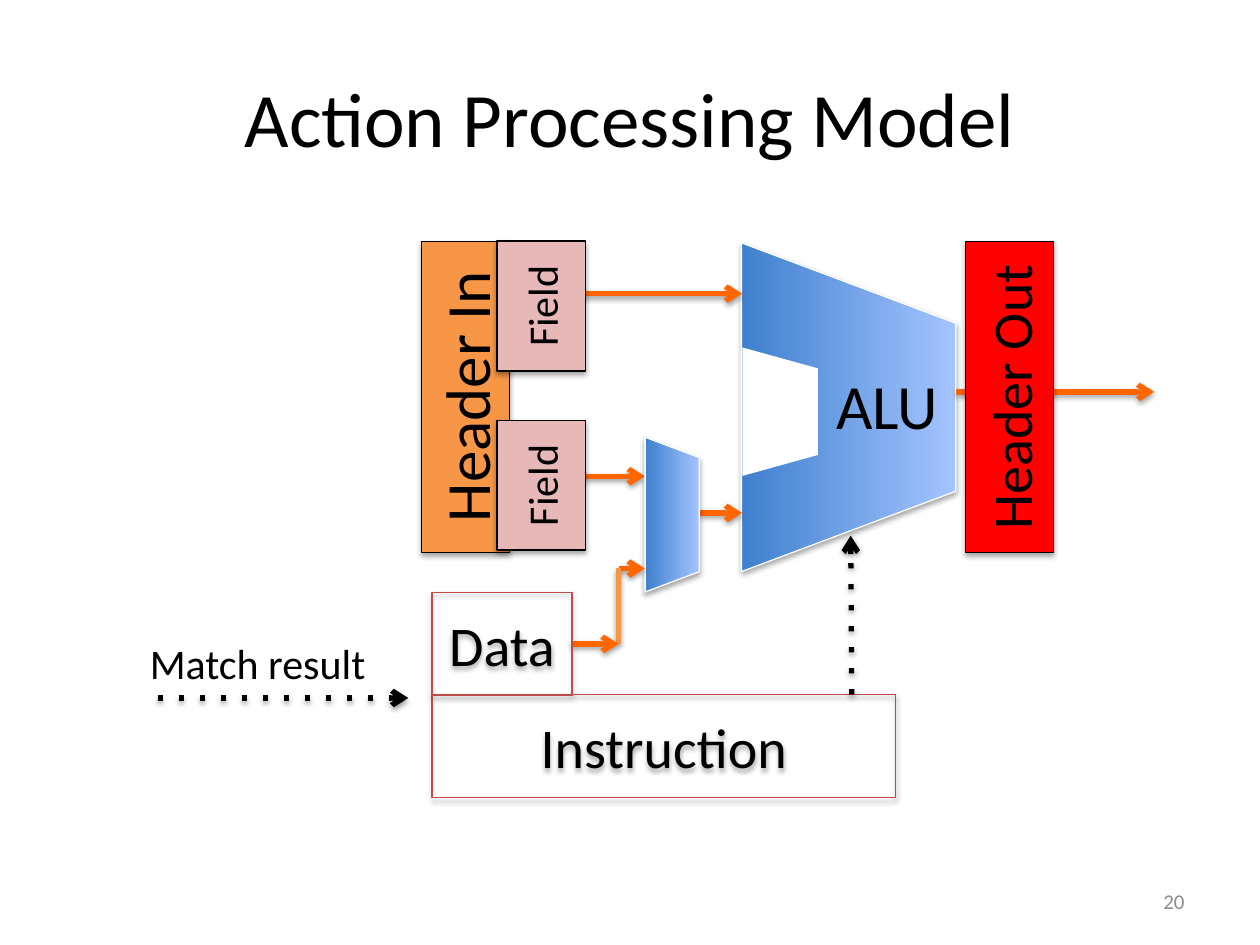
"""Build the Action Processing Model slide."""
from lxml import etree
from pptx import Presentation
from pptx.dml.color import RGBColor
from pptx.enum.shapes import MSO_CONNECTOR, MSO_SHAPE
from pptx.enum.text import MSO_ANCHOR, PP_ALIGN
from pptx.oxml.ns import qn
from pptx.util import Cm, Pt

STRAIGHT = MSO_CONNECTOR.STRAIGHT
RECTANGLE, TRAPEZOID = MSO_SHAPE.RECTANGLE, MSO_SHAPE.TRAPEZOID
MIDDLE, TOP = MSO_ANCHOR.MIDDLE, MSO_ANCHOR.TOP
LEFT, CENTER, RIGHT = PP_ALIGN.LEFT, PP_ALIGN.CENTER, PP_ALIGN.RIGHT

BLACK, WHITE, GREY = "000000", "FFFFFF", "8C8C8C"
ORANGE, PEACH, PINK = "FF6600", "F79646", "E6B9B8"
RED, BRICK = "FF0000", "BF4C48"
GRADIENT = ("3F80CE", "A4C4FF")
RIGHT_SIDE = 3


def color(value):
    return RGBColor.from_string(value)


def add_shadow(effects, distance, opacity):
    shadow = etree.SubElement(
        effects, qn("a:outerShdw"), blurRad="40000", dist=str(distance),
        dir="5400000", rotWithShape="0")
    tone = etree.SubElement(shadow, qn("a:srgbClr"), val=BLACK)
    etree.SubElement(tone, qn("a:alpha"), val=str(opacity * 1000))


class Diagram:
    """Hold the style and the page, and draw each kind of element."""

    font = "Calibri"

    def __init__(self, page):
        self.page = page

    def set_text(self, shape, text, size, align, anchor, tone=BLACK):
        frame = shape.text_frame
        frame.text = text
        frame.vertical_anchor = anchor
        para = frame.paragraphs[0]
        para.alignment = align
        span = para.runs[0]
        span.font.name = self.font
        span.font.size = Pt(size)
        span.font.color.rgb = color(tone)

    def title(self, text):
        box = self.page.shapes.title
        box.left, box.top = Cm(1.27), Cm(0.76)
        box.width, box.height = Cm(22.86), Cm(3.18)
        self.set_text(box, text, 44, CENTER, MIDDLE)

    def label(self, text, left, top, width, height, size,
              align=LEFT, anchor=TOP, tone=BLACK, wrap=False):
        box = self.page.shapes.add_textbox(Cm(left), Cm(top), Cm(width), Cm(height))
        box.text_frame.word_wrap = wrap
        self.set_text(box, text, size, align, anchor, tone)

    def shape(self, kind, left, top, width, height, line=None, rotation=0):
        shape = self.page.shapes.add_shape(kind, Cm(left), Cm(top), Cm(width), Cm(height))
        shape.rotation = rotation
        shape.shadow.inherit = False
        if line:
            shape.line.color.rgb = color(line)
            shape.line.width = Pt(0.75)
            add_shadow(shape._element.spPr.find(qn("a:effectLst")), 23000, 35)
        else:
            shape.line.fill.background()
        return shape

    def block(self, text, left, top, width, height, size, line=BLACK, fill=None, rotation=0):
        block = self.shape(RECTANGLE, left, top, width, height, line, rotation)
        if fill:
            block.fill.solid()
            block.fill.fore_color.rgb = color(fill)
        else:
            block.fill.background()
        self.set_text(block, text, size, CENTER, MIDDLE)
        return block

    def upright(self, text, left, top, width, size, fill):
        return self.block(text, left, top, width, 1.78, size, fill=fill, rotation=270)

    def unit(self, left, top, width, height):
        unit = self.shape(TRAPEZOID, left, top, width, height, WHITE, 90)
        unit.adjustments[0] = 0.375
        unit.fill.gradient()
        unit.fill.gradient_angle = 90
        for stop, tone, position in zip(unit.fill.gradient_stops, GRADIENT, (0, 1)):
            stop.color.rgb = color(tone)
            stop.position = position

    def notch(self, left, top, width, height):
        notch = self.shape(TRAPEZOID, left, top, width, height, rotation=90)
        notch.adjustments[0] = 0.277
        notch.fill.solid()
        notch.fill.fore_color.rgb = color(WHITE)

    def line(self, x1, y1, x2, y2, tone=ORANGE, dotted=False, arrow=True):
        line = self.page.shapes.add_connector(STRAIGHT, Cm(x1), Cm(y1), Cm(x2), Cm(y2))
        line.line.color.rgb = color(tone)
        line.line.width = Pt(3)
        properties = line._element.spPr
        outline = properties.find(qn("a:ln"))
        if dotted:
            etree.SubElement(outline, qn("a:prstDash"), val="dot")
        if arrow:
            etree.SubElement(outline, qn("a:tailEnd"), type="arrow")
        add_shadow(etree.SubElement(properties, qn("a:effectLst")), 20000, 38)
        return line


def main():
    deck = Presentation()
    deck.slide_width, deck.slide_height = Cm(25.4), Cm(19.05)
    diagram = Diagram(deck.slides.add_slide(deck.slide_layouts[5]))
    diagram.title("Action Processing Model")

    diagram.line(10.26, 9.6, 13, 9.6)
    diagram.unit(13.79, 6.05, 6.63, 4.32)
    diagram.notch(14.43, 7.54, 2.59, 1.52)
    diagram.line(10.26, 5.92, 14.96, 5.92)
    diagram.line(14.1, 10.34, 14.96, 10.34)
    diagram.line(19.28, 7.9, 23.27, 7.9)
    diagram.block("Instruction", 8.71, 14, 9.35, 2.08, 32, BRICK)
    diagram.label("ALU", 16.61, 7.26, 2.62, 1.8, 36)
    diagram.line(17.17, 14, 17.15, 10.8, BLACK, dotted=True)
    diagram.line(3.18, 14.07, 8.23, 14.07, BLACK, dotted=True)
    diagram.label("Match result", 2.77, 12.73, 4.93, 1.27, 24)

    diagram.upright("Header In", 6.25, 7.11, 6.27, 36, PEACH)
    diagram.upright("Header Out", 17.22, 7.11, 6.27, 32, RED)
    for top in (5.28, 8.89):
        diagram.upright("Field", 9.6, top, 2.62, 24, PINK)

    diagram.unit(11.99, 9.83, 3.12, 1.09)
    diagram.line(12.47, 11.46, 13, 11.46)
    diagram.line(12.47, 11.46, 12.47, 12.98, PEACH, arrow=False)
    data_line = diagram.line(11.53, 12.98, 12.47, 12.98)
    data = diagram.block("Data", 8.71, 11.94, 2.82, 2.08, 32, BRICK)
    data_line.begin_connect(data, RIGHT_SIDE)

    diagram.label("20", 18.21, 17.65, 5.92, 1.02, 12, RIGHT, MIDDLE, GREY, wrap=True)
    deck.save("out.pptx")


if __name__ == "__main__":
    main()
